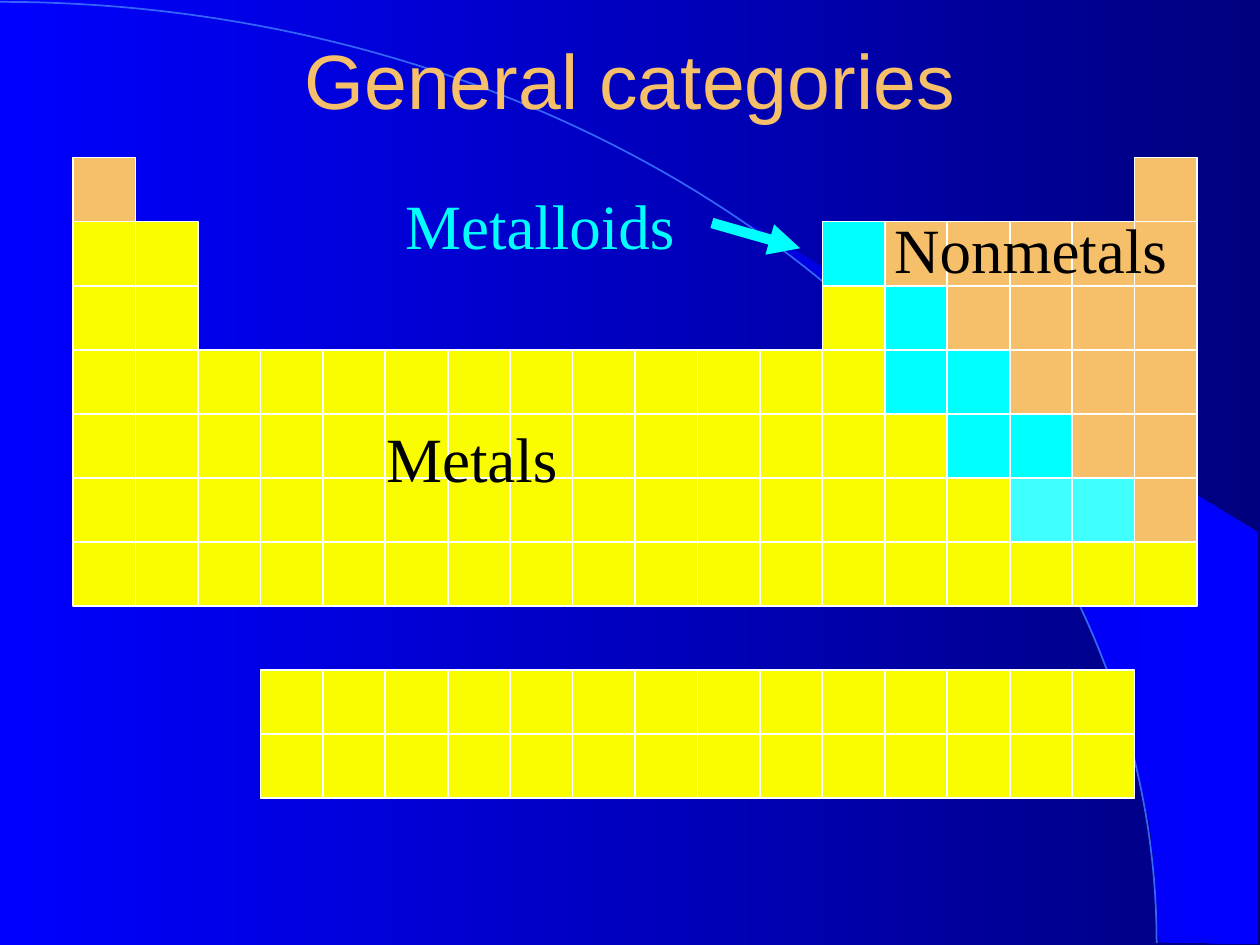
import math
import pptx
import pptx.util
import pptx.dml.color
import pptx.enum.shapes
import pptx.enum.text
import pptx.oxml.ns
import lxml.etree

theme = {
    "deep": "00007F", "blue": "0000FF", "mid": "0000E5", "arc": "3365FB",
    "title": "F6BF69", "white": "FFFFFF", "black": "000000", "cyan": "00FFFF",
    "M": "FAFD00", "N": "F6BF69", "T": "00FFFF", "L": "40FFFF",
    "head": 44, "label": 36, "sans": "Arial", "serif": "Times New Roman",
}


def tint(fill, *names):
    """Fill with one theme colour, or a left-to-right blend of two."""
    if len(names) == 1:
        fill.solid()
        fill.fore_color.rgb = pptx.dml.color.RGBColor.from_string(theme[names[0]])
        return
    fill.gradient()
    fill.gradient_angle = 0
    for stop, name in zip(fill.gradient_stops, names):
        stop.color.rgb = pptx.dml.color.RGBColor.from_string(theme[name])


deck = pptx.Presentation()
deck.slide_width = pptx.util.Inches(10)
deck.slide_height = pptx.util.Inches(7.5)
slide = deck.slides.add_slide(deck.slide_layouts[6])
shapes = slide.shapes
tint(slide.background.fill, "blue", "deep")


def place(across, down):
    """Turn percent of the slide's width and height into lengths."""
    return int(deck.slide_width * across / 100), int(deck.slide_height * down / 100)


# Bright swoosh at the right
swoosh = [
    (92, 99.7), (99.9, 99.9), (99.9, 56.4), (58.9, 23.1), (62.4, 26.5),
    (65.3, 29.6), (68.5, 33.3), (71.6, 37.3), (76.2, 44), (80.3, 51.2),
    (83.2, 57.5), (85.8, 63.9), (87.8, 70.4), (89.3, 76.3), (90.3, 81.2),
    (91.3, 87.5), (91.7, 92.8),
]
points = [place(*point) for point in swoosh]
build = shapes.build_freeform(*points[0])
build.add_line_segments(points[1:], close=True)
wing = build.convert_to_shape()
wing.shadow.inherit = False
tint(wing.fill, "mid", "blue")
wing.line.fill.background()

# Thin quarter-ellipse arc
steps = 90
turns = [math.pi / 2 * step / steps for step in range(steps + 1)]
points = [place(91.8 * math.sin(turn), 99.8 - 99.6 * math.cos(turn)) for turn in turns]
build = shapes.build_freeform(*points[0])
build.add_line_segments(points[1:], close=False)
arc = build.convert_to_shape()
arc.shadow.inherit = False
arc.fill.background()
tint(arc.line.fill, "arc")
arc.line.width = pptx.util.Pt(1)

# Periodic table: M metal, N nonmetal, T and L metalloid, dot for a gap
table = [
    "N" + "." * 16 + "N",
    "MM" + "." * 10 + "TNNNNN",
    "MM" + "." * 10 + "MTNNNN",
    "M" * 13 + "TTNNN",
    "M" * 14 + "TTNN",
    "M" * 15 + "LLN",
    "M" * 18,
    "." * 18,
    "..." + "M" * 14 + ".",
    "..." + "M" * 14 + ".",
]
left, top = place(5.8, 16.67)
wide, high = place(89.2 / 18, 6.78)
for row, kinds in enumerate(table):
    for col, kind in enumerate(kinds):
        if kind == ".":
            continue
        cell = shapes.add_shape(
            pptx.enum.shapes.MSO_SHAPE.RECTANGLE,
            left + col * wide, top + row * high, wide, high)
        cell.shadow.inherit = False
        tint(cell.fill, kind)
        tint(cell.line.fill, "white")
        cell.line.width = pptx.util.Pt(1)

# Title and group labels: text, left, top, width, height, size, font, colour
labels = [
    ("General categories", 7.5, 0, 85, 16.67, "head", "sans", "title"),
    ("Metals", 20.3, 43.73, 34.3, 9.33, "label", "serif", "black"),
    ("Nonmetals", 68.6, 21.6, 26.4, 9.33, "label", "serif", "black"),
    ("Metalloids", 25.3, 19.07, 35.1, 9.33, "label", "serif", "cyan"),
]
for text, across, down, width, height, size, face, hue in labels:
    box = shapes.add_textbox(*place(across, down), *place(width, height))
    frame = box.text_frame
    frame.word_wrap = True
    frame.vertical_anchor = pptx.enum.text.MSO_ANCHOR.MIDDLE
    para = frame.paragraphs[0]
    para.alignment = pptx.enum.text.PP_ALIGN.CENTER
    run = para.add_run()
    run.text = text
    run.font.size = pptx.util.Pt(theme[size])
    run.font.name = theme[face]
    tint(run.font.fill, hue)

# Arrow from the metalloid label to its first cell
arrow = shapes.add_connector(
    pptx.enum.shapes.MSO_CONNECTOR.STRAIGHT, *place(56.5, 23.6), *place(63.5, 26.27))
tint(arrow.line.fill, "cyan")
arrow.line.width = pptx.util.Pt(6)
lxml.etree.SubElement(
    arrow.line._get_or_add_ln(), pptx.oxml.ns.qn("a:tailEnd"), type="triangle")
lxml.etree.SubElement(arrow._element.spPr, pptx.oxml.ns.qn("a:effectLst"))

deck.save("out.pptx")
